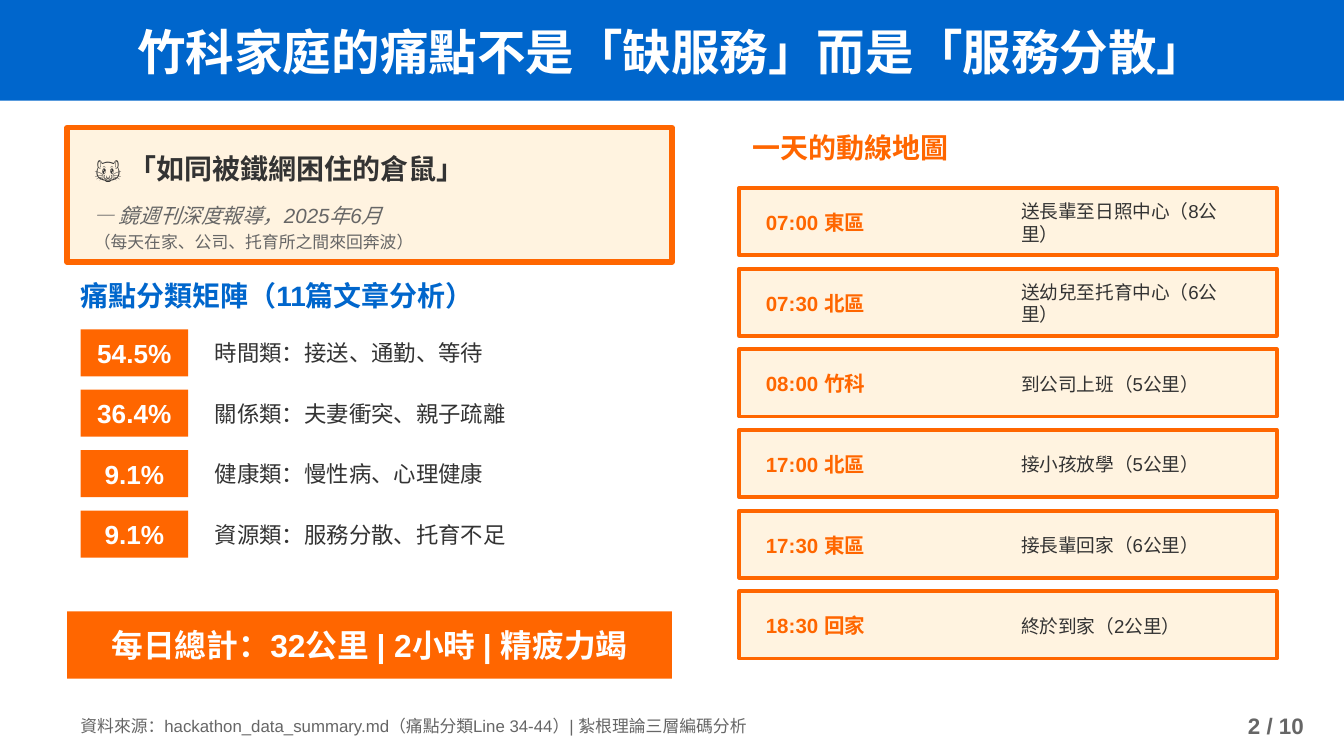
from pptx import Presentation
from pptx.dml.color import RGBColor
from pptx.enum.shapes import MSO_SHAPE
from pptx.enum.text import MSO_ANCHOR, PP_ALIGN
from pptx.util import Inches, Pt

RECTANGLE = MSO_SHAPE.RECTANGLE
MIDDLE = MSO_ANCHOR.MIDDLE
LEFT, CENTER, RIGHT = PP_ALIGN.LEFT, PP_ALIGN.CENTER, PP_ALIGN.RIGHT

FONT = "Arial"
COLORS = {
    "blue": "0066CC",
    "orange": "FF6600",
    "cream": "FFF3E0",
    "dark": "333333",
    "gray": "666666",
    "white": "FFFFFF",
}

PAIN_POINTS = [
    ("54.5%", "時間類：接送、通勤、等待"),
    ("36.4%", "關係類：夫妻衝突、親子疏離"),
    ("9.1%", "健康類：慢性病、心理健康"),
    ("9.1%", "資源類：服務分散、托育不足"),
]
STOPS = [
    ("07:00 東區", "送長輩至日照中心（8公里）"),
    ("07:30 北區", "送幼兒至托育中心（6公里）"),
    ("08:00 竹科", "到公司上班（5公里）"),
    ("17:00 北區", "接小孩放學（5公里）"),
    ("17:30 東區", "接長輩回家（6公里）"),
    ("18:30 回家", "終於到家（2公里）"),
]


def color(name):
    return RGBColor.from_string(COLORS[name])


def add_panel(page, left, top, width, height, fill, line_width=None):
    """Add a filled rectangle, with an orange border if line_width is given."""
    panel = page.shapes.add_shape(
        RECTANGLE, Inches(left), Inches(top), Inches(width), Inches(height))
    panel.shadow.inherit = False
    panel.fill.solid()
    panel.fill.fore_color.rgb = color(fill)
    if line_width:
        panel.line.color.rgb = color("orange")
        panel.line.width = Pt(line_width)
    else:
        panel.line.fill.background()


def add_text(page, text, left, top, width, height, *, size, ink="dark",
             bold=False, italic=False, align=LEFT):
    box = page.shapes.add_textbox(
        Inches(left), Inches(top), Inches(width), Inches(height))
    frame = box.text_frame
    frame.word_wrap = True
    frame.vertical_anchor = MIDDLE
    para = frame.paragraphs[0]
    para.alignment = align
    span = para.add_run()
    span.text = text
    font = span.font
    font.name = FONT
    font.size = Pt(size)
    font.bold = bold
    font.italic = italic
    font.color.rgb = color(ink)


def add_title(page):
    add_panel(page, 0, 0, 10, 0.75, "blue")
    add_text(page, "竹科家庭的痛點不是「缺服務」而是「服務分散」",
             0.5, 0.18, 9, 0.4, size=26, ink="white", bold=True, align=CENTER)


def add_quote(page):
    add_panel(page, 0.5, 0.95, 4.5, 1, "cream", line_width=3)
    add_text(page, "🐹 「如同被鐵網困住的倉鼠」", 0.6, 1.1, 4.3, 0.3,
             size=15, bold=True)
    add_text(page, "— 鏡週刊深度報導，2025年6月", 0.6, 1.45, 4.3, 0.3,
             size=11, ink="gray", italic=True)
    add_text(page, "（每天在家、公司、托育所之間來回奔波）", 0.6, 1.7, 4.3, 0.2,
             size=9, ink="gray")


def add_pain_points(page):
    add_text(page, "痛點分類矩陣（11篇文章分析）", 0.5, 2.05, 4.5, 0.3,
             size=15, ink="blue", bold=True)
    for index, (share, label) in enumerate(PAIN_POINTS):
        top = 2.45 + 0.45 * index
        add_panel(page, 0.6, top, 0.8, 0.35, "orange")
        add_text(page, share, 0.6, top, 0.8, 0.35,
                 size=14, ink="white", bold=True, align=CENTER)
        add_text(page, label, 1.5, top, 3.4, 0.35, size=12)


def add_route(page):
    add_text(page, "一天的動線地圖", 5.5, 0.95, 4, 0.3,
             size=15, ink="orange", bold=True)
    for index, (stop, errand) in enumerate(STOPS):
        top = 1.4 + 0.6 * index
        add_panel(page, 5.5, top, 4, 0.5, "cream", line_width=2)
        add_text(page, stop, 5.6, top + 0.08, 1.8, 0.35,
                 size=11, ink="orange", bold=True)
        add_text(page, errand, 7.5, top + 0.08, 1.9, 0.35, size=10)


def add_total(page):
    add_panel(page, 0.5, 4.55, 4.5, 0.5, "orange")
    add_text(page, "每日總計：32公里 | 2小時 | 精疲力竭", 0.5, 4.65, 4.5, 0.3,
             size=17, ink="white", bold=True, align=CENTER)


def add_footer(page):
    add_text(page, "資料來源：hackathon_data_summary.md（痛點分類Line 34-44）"
             "| 紮根理論三層編碼分析", 0.5, 5.3, 8.5, 0.2, size=9, ink="gray")
    add_text(page, "2 / 10", 9, 5.3, 0.8, 0.2,
             size=12, ink="gray", bold=True, align=RIGHT)


def main():
    deck = Presentation()
    deck.slide_width = Inches(10)
    deck.slide_height = Inches(10 * 9 / 16)
    page = deck.slides.add_slide(deck.slide_layouts[6])
    add_title(page)
    add_quote(page)
    add_pain_points(page)
    add_route(page)
    add_total(page)
    add_footer(page)
    deck.save("out.pptx")


if __name__ == "__main__":
    main()
